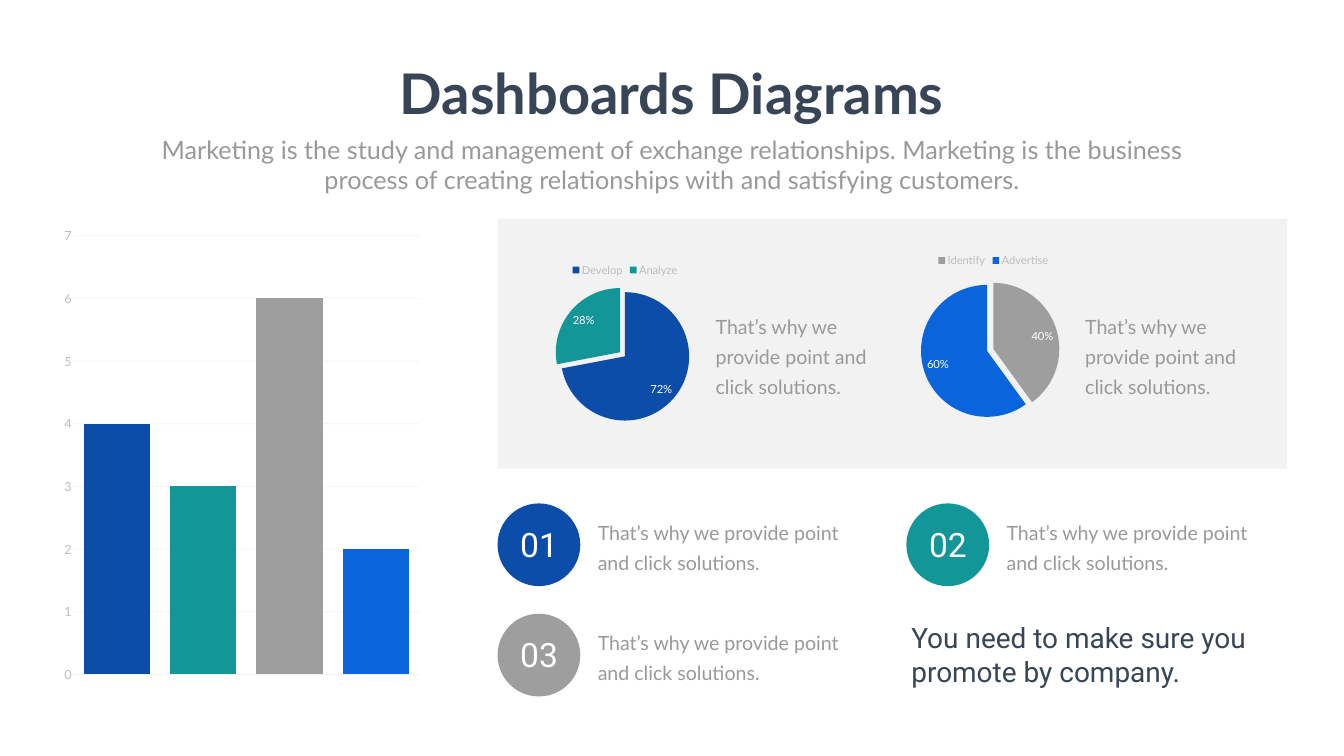
from lxml import etree
from pptx import Presentation
from pptx import util as u
from pptx.chart import data
from pptx.dml import color
from pptx.enum import chart as charts
from pptx.enum import shapes, text
from pptx.oxml import ns

COLORS = {
    "background": "FEFFFE",
    "navy": "0B4DA8",
    "teal": "129698",
    "grey": "9D9E9D",
    "blue": "0A65DD",
    "panel": "808080",
    "heading": "374556",
    "body": "999999",
    "axis": "BDBDBD",
    "white": "FFFFFF",
}
SOLUTIONS = "That’s why we provide point and click solutions."
SUBTITLE = (
    "Marketing is the study and management of exchange relationships. "
    "Marketing is the business process of creating relationships "
    "with and satisfying customers."
)

# Text formats
TITLE = {"name": "Lato", "size": u.Pt(80), "bold": True}
LEAD = {"name": "Lato", "size": u.Pt(36)}
BODY = {"name": "Lato", "size": u.Pt(28)}
NUMBER = {"name": "Roboto", "size": u.Pt(48)}
CLOSING = {"name": "Roboto", "size": u.Pt(40)}
AXIS = {"name": "Lato", "size": u.Pt(18)}
PIE = {"name": "Lato", "size": u.Pt(16)}


def rgb(name):
    return color.RGBColor.from_string(COLORS[name])


def cm(*lengths):
    return [u.Cm(length) for length in lengths]


def set_font(font, values, color_name):
    for attribute, value in values.items():
        setattr(font, attribute, value)
    font.color.rgb = rgb(color_name)


def paint(fill, color_name, opacity=100):
    fill.solid()
    fill.fore_color.rgb = rgb(color_name)
    if opacity < 100:
        # Transparency has no public method
        for srgb in fill._xPr.iter(ns.qn("a:srgbClr")):
            etree.SubElement(srgb, ns.qn("a:alpha"), val=str(opacity * 1000))


def add_block(slide, kind, box, color_name, opacity=100):
    block = slide.shapes.add_shape(kind, *cm(*box))
    block.shadow.inherit = False
    paint(block.fill, color_name, opacity)
    block.line.fill.background()


def add_text(slide, words, box, values, color_name, centred=False,
             spacing=None, wrap=True):
    frame = slide.shapes.add_textbox(*cm(*box)).text_frame
    frame.word_wrap = wrap
    frame.auto_size = text.MSO_AUTO_SIZE.SHAPE_TO_FIT_TEXT
    paragraph = frame.paragraphs[0]
    if centred:
        paragraph.alignment = text.PP_ALIGN.CENTER
    if spacing:
        paragraph.line_spacing = u.Pt(spacing)
    run = paragraph.add_run()
    run.text = words
    set_font(run.font, values, color_name)


def add_solutions(slide, box):
    add_text(slide, SOLUTIONS, box, BODY, "body", spacing=43)


def add_numbered_item(slide, number, left, top, color_name):
    add_block(slide, shapes.MSO_SHAPE.OVAL, (left, top, 4.17, 4.17), color_name)
    add_text(slide, number, (left + 0.84, top + 0.91, 2.51, 2.31),
             NUMBER, "white", centred=True)
    add_solutions(slide, (left + 4.8, top + 0.43, 13.39, 3.15))


def add_chart(slide, kind, box, categories, values, point_colors, font):
    chart_data = data.CategoryChartData()
    chart_data.categories = categories
    chart_data.add_series("Series 1", values)
    chart = slide.shapes.add_chart(kind, *cm(*box), chart_data).chart
    chart.has_title = False
    chart.has_legend = False
    set_font(chart.font, font, "body")
    series = chart.plots[0].series[0]
    for index, color_name in enumerate(point_colors):
        point_format = series.points[index].format
        paint(point_format.fill, color_name)
        point_format.line.fill.background()
    return chart


def add_column_chart(slide):
    chart = add_chart(
        slide, charts.XL_CHART_TYPE.COLUMN_STACKED, (2.87, 11.02, 18.62, 23.83),
        ["1", "2", "3", "4"], [4, 3, 6, 2], ["navy", "teal", "grey", "blue"], AXIS)
    plot = chart.plots[0]
    plot.vary_by_categories = False
    plot.gap_width = 30
    plot.overlap = 100
    chart.category_axis.visible = False

    axis = chart.value_axis
    axis.minimum_scale, axis.maximum_scale, axis.major_unit = 0, 7, 1
    axis.major_tick_mark = charts.XL_TICK_MARK.NONE
    axis.format.line.fill.background()
    set_font(axis.tick_labels.font, AXIS, "axis")
    grid = axis.major_gridlines.format.line
    grid.width = u.Pt(1)
    paint(grid.fill, "panel", opacity=10)


def add_pie_chart(slide, box, categories, values, point_colors):
    chart = add_chart(slide, charts.XL_CHART_TYPE.PIE, box,
                      categories, values, point_colors, PIE)
    plot = chart.plots[0]
    plot.vary_by_categories = True

    chart.has_legend = True
    chart.legend.position = charts.XL_LEGEND_POSITION.TOP
    chart.legend.include_in_layout = False
    set_font(chart.legend.font, PIE, "axis")

    labels = plot.series[0].data_labels
    labels.show_percentage = True
    labels.show_value = False
    labels.number_format = "0%"
    labels.number_format_is_linked = False
    labels.position = charts.XL_LABEL_POSITION.INSIDE_END
    set_font(labels.font, PIE, "white")

    # Pull the second slice out of the pie
    second_slice = chart.element.xpath(".//c:dPt")[1]
    explosion = etree.Element(ns.qn("c:explosion"), val="10")
    second_slice.find(ns.qn("c:spPr")).addprevious(explosion)


def main():
    deck = Presentation()
    deck.slide_width, deck.slide_height = cm(67.72, 38.1)
    slide = deck.slides.add_slide(deck.slide_layouts[6])
    paint(slide.background.fill, "background")

    # Heading
    add_text(slide, "Dashboards Diagrams", (19.61, 2.84, 28.5, 3.68),
             TITLE, "heading", centred=True, wrap=False)
    add_text(slide, SUBTITLE, (7.42, 6.63, 52.88, 3.33),
             LEAD, "body", centred=True)

    # Column chart
    add_column_chart(slide)

    # Panel with two pies
    add_block(slide, shapes.MSO_SHAPE.RECTANGLE,
              (25.07, 11.02, 39.78, 12.6), "panel", opacity=10)
    add_pie_chart(slide, (24.82, 12.98, 13.34, 8.89),
                  ["Develop", "Analyze"], [72, 28], ["navy", "teal"])
    add_pie_chart(slide, (43.23, 12.5, 13.64, 9.09),
                  ["Identify", "Advertise"], [40, 60], ["grey", "blue"])
    for left in (35.81, 54.43):
        add_solutions(slide, (left, 15.39, 9.73, 4.67))

    # Numbered items, two to a row
    for index, color_name in enumerate(["navy", "teal", "grey"]):
        row, column = divmod(index, 2)
        add_numbered_item(slide, f"{index + 1:02}", 25.07 + column * 20.6,
                          25.37 + row * 5.56, color_name)

    # Closing line
    add_text(slide, "You need to make sure you promote by company.",
             (45.67, 31.17, 18.11, 3.68), CLOSING, "heading")

    deck.save("out.pptx")


if __name__ == "__main__":
    main()
